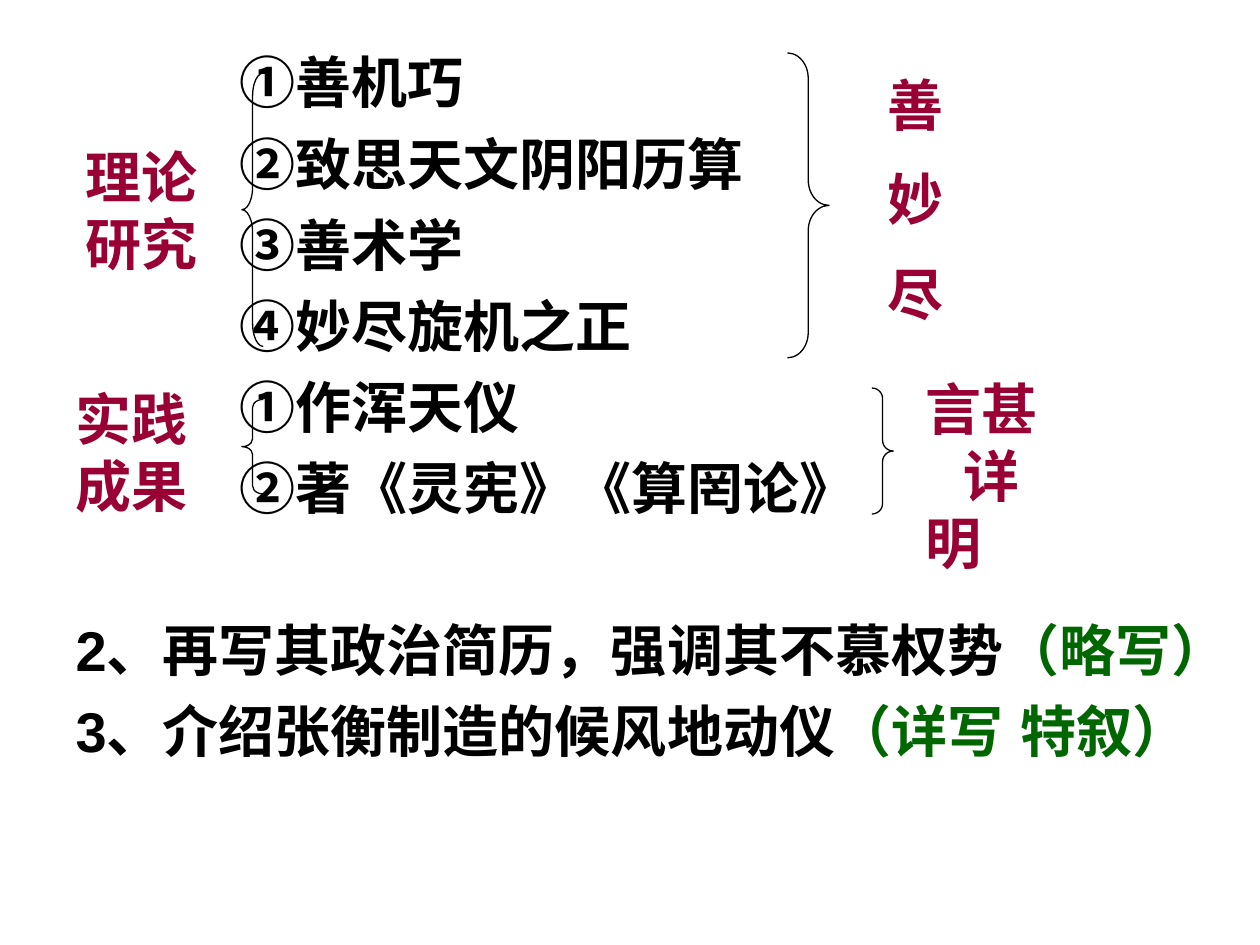
"""Outline slide: theory and practice grouped by braces, with two summary points."""
from lxml.etree import SubElement
from pptx import Presentation
from pptx.dml.color import RGBColor
from pptx.enum.shapes import MSO_SHAPE
from pptx.enum.text import MSO_ANCHOR, MSO_AUTO_SIZE
from pptx.oxml.ns import qn
from pptx.util import Inches, Pt

COLORS = {"black": "000000", "red": "990033", "green": "006600"}
FONT = {"name": "Arial", "size": Pt(32), "bold": True}
ITEM_INDENT, TAB_STOP = 1.3, 7.77
ROW_GAP, SECTION_GAP = 8, 54

ITEMS = ["①善机巧", "②致思天文阴阳历算", "③善术学", "④妙尽旋机之正",
         "①作浑天仪", "②著《灵宪》《算罔论》"]
POINTS = [("2、再写其政治简历，强调其不慕权势", "（略写）"),
          ("3、介绍张衡制造的候风地动仪", "（详写\t特叙）")]
BRACES = [
    (MSO_SHAPE.LEFT_BRACE, 1.92, 0.58, 0.17, 2.17),
    (MSO_SHAPE.RIGHT_BRACE, 6.25, 0.42, 0.33, 2.42),
    (MSO_SHAPE.LEFT_BRACE, 1.92, 3.17, 0.17, 0.75),
    (MSO_SHAPE.RIGHT_BRACE, 6.92, 3.08, 0.17, 1),
]
LABELS = [
    ((0.58, 1.08, 1.33, 1.17), [("理论研究", 0)]),
    ((0.5, 3, 1.17, 1.17), [("实践成果", 0)]),
    ((7.25, 2.92, 1.17, 1.7), [("言甚", 0), ("详", 0.3), ("明", 0)]),
]
VERTICAL_LABEL = ((6.84, 0.51, 0.73, 2.5), [("善妙尽", 0)])


def box(at):
    return [Inches(v) for v in at]


def add_run(p, text, color):
    r = p.add_run()
    r.text = text
    for name, value in FONT.items():
        setattr(r.font, name, value)
    r.font.color.rgb = RGBColor.from_string(COLORS[color])
    return r


def add_paragraph(tf, index, indent=0):
    p = tf.paragraphs[0] if index == 0 else tf.add_paragraph()
    pPr = p._p.get_or_add_pPr()
    pPr.set("marL", str(Inches(indent)))
    pPr.set("indent", "0")
    SubElement(pPr, qn("a:buNone"))
    return p


def add_body(s):
    sp = s.placeholders[1]
    sp.left, sp.top, sp.width, sp.height = box((0.5, 0.33, 9.5, 7.17))
    tf = sp.text_frame
    tf.auto_size = MSO_AUTO_SIZE.NONE
    tf.vertical_anchor = MSO_ANCHOR.TOP
    rows = [(ITEM_INDENT, [item]) for item in ITEMS] + [(0, point) for point in POINTS]
    for i, (indent, parts) in enumerate(rows):
        p = add_paragraph(tf, i, indent)
        tabs = SubElement(p._p.get_or_add_pPr(), qn("a:tabLst"))
        SubElement(tabs, qn("a:tab"), pos=str(Inches(TAB_STOP)), algn="l")
        gap = SECTION_GAP if i == len(ITEMS) else ROW_GAP
        p.space_before = Pt(gap if i else 0)
        for text, color in zip(parts, ("black", "green")):
            add_run(p, text, color)


def add_brace(s, kind, *at):
    sp = s.shapes.add_shape(kind, *box(at))
    sp.shadow.inherit = False
    sp.fill.background()
    sp.line.color.rgb = RGBColor.from_string(COLORS["black"])
    sp.line.width = Pt(0.75)
    width, height = at[2:]
    sp.adjustments[0] = height / 12 / width


def add_label(s, at, lines):
    tf = s.shapes.add_textbox(*box(at)).text_frame
    tf.word_wrap = True
    for i, (text, indent) in enumerate(lines):
        add_run(add_paragraph(tf, i, indent), text, "red")
    return tf


def add_vertical_label(s, at, lines):
    tf = add_label(s, at, lines)
    tf.margin_left = tf.margin_right = Inches(0.05)
    tf.margin_top = tf.margin_bottom = Inches(0.1)
    tf._txBody.bodyPr.set("vert", "eaVert")
    tf.paragraphs[0].runs[0]._r.get_or_add_rPr().set("spc", "2200")


def main():
    prs = Presentation()
    prs.slide_width, prs.slide_height = Inches(10), Inches(7.5)
    s = prs.slides.add_slide(prs.slide_layouts[1])
    title = s.shapes.title._element
    title.getparent().remove(title)
    add_body(s)
    for brace in BRACES:
        add_brace(s, *brace)
    for label in LABELS:
        add_label(s, *label)
    add_vertical_label(s, *VERTICAL_LABEL)
    prs.save("out.pptx")


if __name__ == "__main__":
    main()
